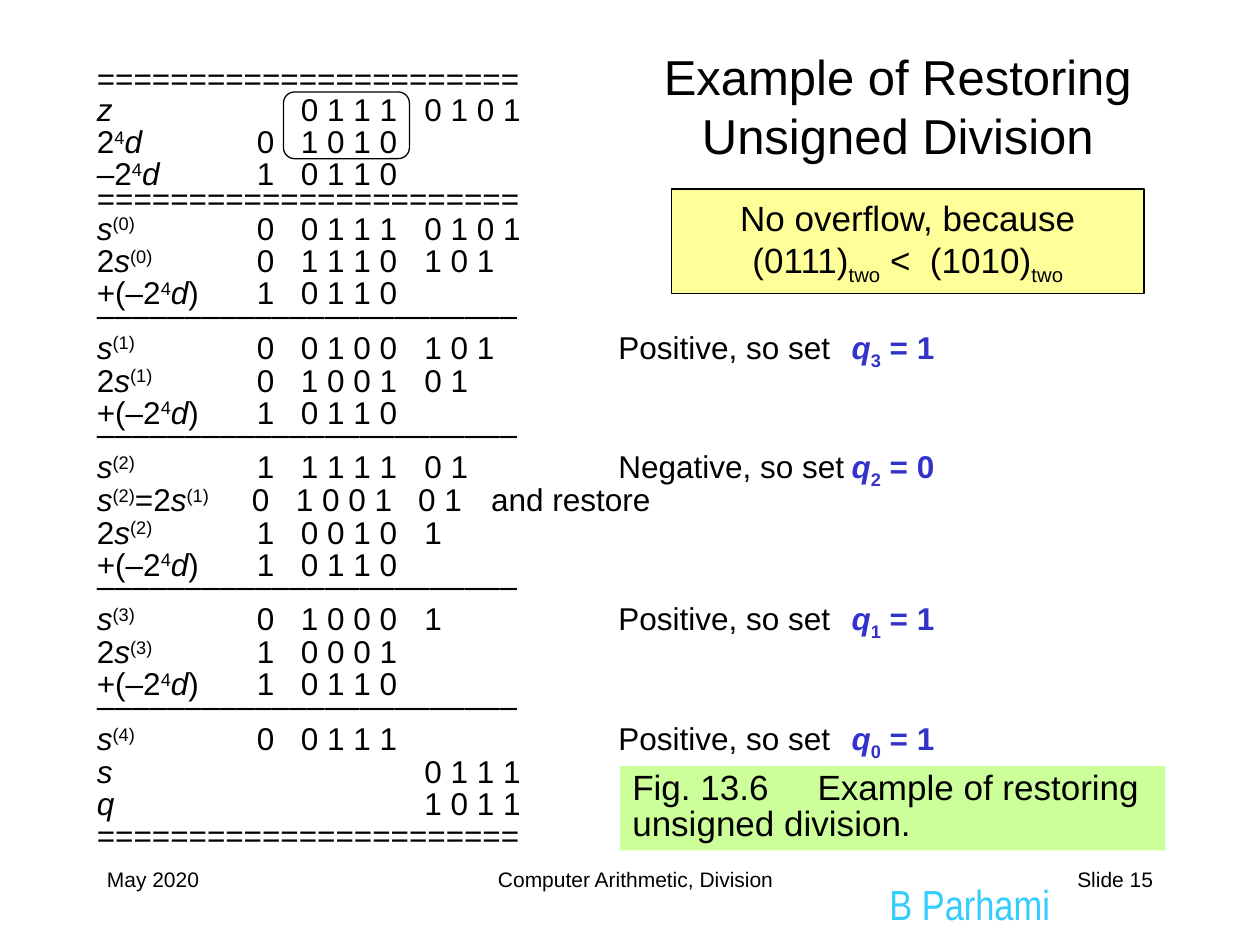
"""Build the slide on restoring unsigned division."""
from pptx import Presentation
from pptx.dml.color import RGBColor
from pptx.enum.shapes import MSO_SHAPE as SHAPE
from pptx.enum.text import MSO_ANCHOR as ANCHOR, PP_ALIGN as ALIGN
from pptx.oxml.xmlchemy import OxmlElement
from pptx.util import Inches, Pt


def color(value):
    return RGBColor.from_string(value)


def write(tf, text, size=18, font="Arial", fill="000000", align=ALIGN.LEFT,
          spacing=None, tabs=(), anchor=ANCHOR.TOP):
    """Add a paragraph: *italic*, ^superscript^, _subscript_, #highlight#."""
    tf.word_wrap = True
    tf.vertical_anchor = anchor
    p = tf.paragraphs[0]
    if p.runs:
        p = tf.add_paragraph()
    if tabs:
        tab_list = OxmlElement("a:tabLst")
        for pos in tabs:
            tab = OxmlElement("a:tab")
            tab.set("pos", str(Inches(pos)))
            tab.set("algn", "l")
            tab_list.append(tab)
        p._p.get_or_add_pPr().append(tab_list)
    p.alignment = align
    p.line_spacing = spacing
    marks = set("*^_#")
    active = set()
    for mark in marks:
        text = text.replace(mark, f"|{mark}|")
    for piece in text.split("|"):
        if piece in marks:
            active ^= {piece}
        elif piece:
            r = p.add_run()
            r.text = piece
            r.font.size = Pt(size)
            r.font.name = font
            r.font.italic = "*" in active
            r.font.bold = "#" in active
            r.font.color.rgb = color("3333CC" if "#" in active else fill)
            if "^" in active:
                r._r.get_or_add_rPr().set("baseline", "30000")
            elif "_" in active:
                r._r.get_or_add_rPr().set("baseline", "-25000")


prs = Presentation()
prs.slide_width, prs.slide_height = Inches(10), Inches(7.5)
s = prs.slides.add_slide(prs.slide_layouts[6])

labels = [
    ("B Parhami", (6.96, 6.92, 2, 0.42),
     dict(size=24, font="Arial Narrow", fill="33CCFF")),
    ("May 2020", (0.75, 6.83, 2.08, 0.5), dict(size=12)),
    ("Computer Arithmetic, Division", (2.42, 6.83, 5.25, 0.5),
     dict(size=12, align=ALIGN.CENTER)),
    ("Slide 15", (7.17, 6.83, 2.08, 0.5), dict(size=12, align=ALIGN.RIGHT)),
    ("Example of Restoring Unsigned Division", (4.75, 0.25, 4.75, 1.17),
     dict(size=28, align=ALIGN.CENTER, anchor=ANCHOR.MIDDLE)),
]
for text, box, style in labels:
    tf = s.shapes.add_textbox(*map(Inches, box)).text_frame
    write(tf, text, **style)

boxes = [
    (SHAPE.RECTANGLE, (4.92, 6.08, 4.33, 0.67), "CCFF99", None,
     ["Fig. 13.6\tExample of restoring unsigned division."],
     dict(size=20, spacing=0.85, tabs=[1.47])),
    (SHAPE.RECTANGLE, (5.33, 1.5, 3.75, 0.83), "FFFF99", "000000",
     ["No overflow, because", "(0111)_two_ <  (1010)_two_"],
     dict(size=20, align=ALIGN.CENTER, anchor=ANCHOR.MIDDLE)),
    (SHAPE.ROUNDED_RECTANGLE, (2.25, 0.73, 1, 0.53), None, "000000", [], {}),
]
for kind, box, fill, line, lines, style in boxes:
    sp = s.shapes.add_shape(kind, *map(Inches, box))
    sp.shadow.inherit = False
    if fill:
        sp.fill.solid()
        sp.fill.fore_color.rgb = color(fill)
    else:
        sp.fill.background()
    if line:
        sp.line.color.rgb = color(line)
        sp.line.width = Pt(0.75)
    else:
        sp.line.fill.background()
    for text in lines:
        write(sp.text_frame, text, **style)

columns = [1.27, 1.62, 2.6, 4.14, 5.99]
restore_columns = [1.23, 1.58, 2.55, 3.13]
double_rule = "=" * 23
single_rule = "–" * 24
steps = [
    ("0\t0 1 1 1\t0 1 0 1", "", "0\t1 1 1 0\t1 0 1"),
    ("0\t0 1 0 0\t1 0 1", "\tPositive, so set\t#*q*_3_ = 1#", "0\t1 0 0 1\t0 1"),
    ("1\t1 1 1 1\t0 1", "\tNegative, so set\t#*q*_2_ = 0#", "1\t0 0 1 0\t1"),
    ("0\t1 0 0 0\t1", "\tPositive, so set\t#*q*_1_ = 1#", "1\t0 0 0 1"),
]
rows = [
    (double_rule, 0.7, columns),
    ("*z*\t\t0 1 1 1\t0 1 0 1", 0.85, columns),
    ("2^4^*d*\t0\t1 0 1 0", 0.85, columns),
    ("–2^4^*d*\t1\t0 1 1 0", 0.85, columns),
    (double_rule, 0.6, columns),
]
for k, (partial, remark, doubled) in enumerate(steps):
    rows.append((f"*s*^({k})^\t{partial}{remark}", 0.85, columns))
    if "Negative" in remark:
        rows.append((f"*s*^({k})^=2*s*^({k - 1})^\t{steps[k - 1][2]}\tand restore",
                     0.85, restore_columns))
    rows += [
        (f"2*s*^({k})^\t{doubled}", 0.85, columns),
        ("+(–2^4^*d*)\t1\t0 1 1 0", 0.85, columns),
        (single_rule, 0.5, columns),
    ]
rows += [
    ("*s*^(4)^\t0\t0 1 1 1\t\tPositive, so set\t#*q*_0_ = 1#", 0.85, columns),
    ("*s*\t\t\t0 1 1 1", 0.85, columns),
    ("*q*\t\t\t1 0 1 1", 0.85, columns),
    (double_rule, 0.85, columns),
]
tf = s.shapes.add_textbox(Inches(0.67), Inches(0.5), Inches(6.92), Inches(6.33)).text_frame
for text, spacing, tabs in rows:
    write(tf, text, spacing=spacing, tabs=tabs)

prs.save("out.pptx")
